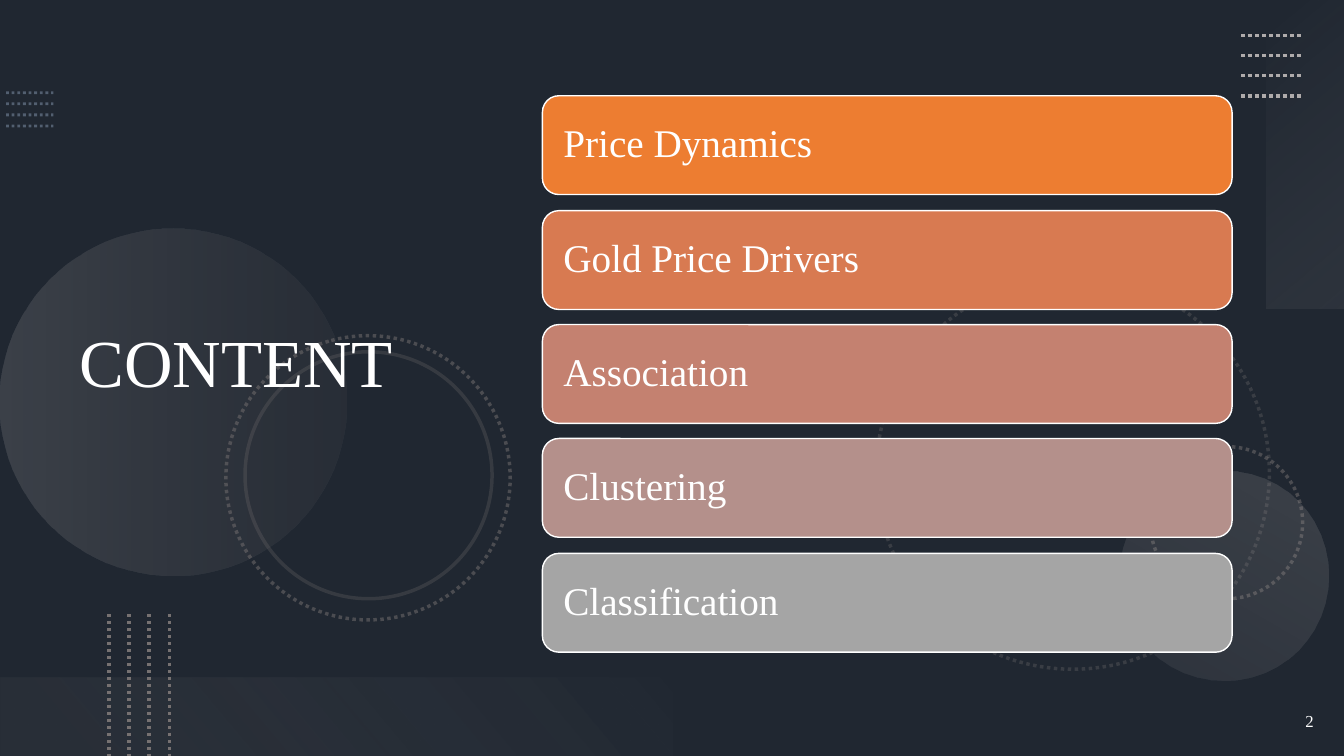
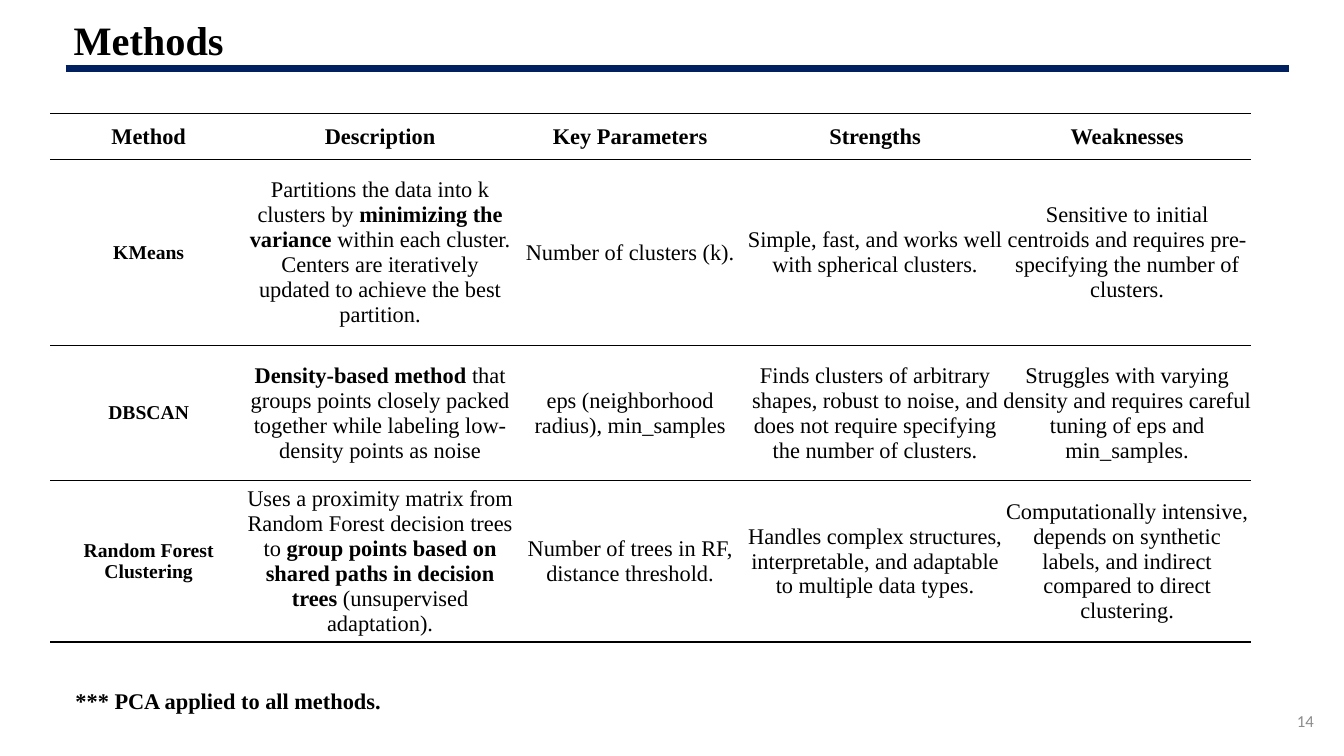
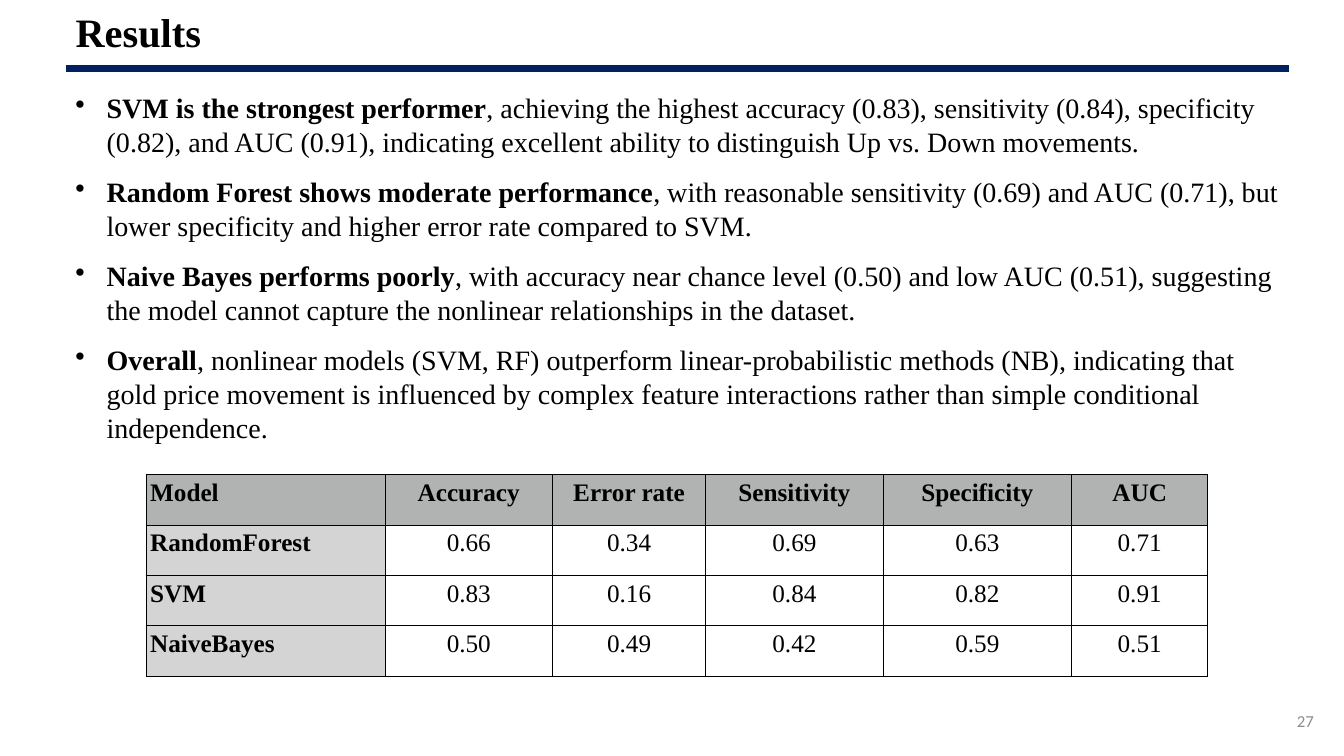
from lxml import etree
from pptx import Presentation
from pptx.dml.color import RGBColor
from pptx.enum.dml import MSO_LINE
from pptx.enum.shapes import MSO_CONNECTOR, MSO_SHAPE
from pptx.enum.text import MSO_ANCHOR, MSO_AUTO_SIZE, PP_ALIGN
from pptx.oxml.ns import qn
from pptx.util import Pt

PX = 9144
SLIDE_WIDTH, SLIDE_HEIGHT = 1333, 750
SERIF, SANS = "Times New Roman", "Calibri"
LEFT, CENTER, RIGHT = PP_ALIGN.LEFT, PP_ALIGN.CENTER, PP_ALIGN.RIGHT
TOP, MIDDLE = MSO_ANCHOR.TOP, MSO_ANCHOR.MIDDLE
RECTANGLE, ROUNDED, OVAL = MSO_SHAPE.RECTANGLE, MSO_SHAPE.ROUNDED_RECTANGLE, MSO_SHAPE.OVAL
STRAIGHT, DOTTED = MSO_CONNECTOR.STRAIGHT, MSO_LINE.ROUND_DOT
TITLE_ONLY = 5

COLORS = {
    "black": "000000",
    "white": "FFFFFF",
    "navy": "002060",
    "slate": "44546A",
    "steel": "8497B0",
    "gray": "767171",
    "silver": "AFABAB",
    "mist": "F5F5F5",
    "pale": "F1F0F0",
    "number": "8C8C8C",
    "table_head": "B0B3B2",
    "table_side": "D4D4D4",
    "card_1": "ED7D31",
    "card_2": "D87A51",
    "card_3": "C48170",
    "card_4": "B4908B",
    "card_5": "A5A5A5",
}

TOPICS = ["Price Dynamics", "Gold Price Drivers", "Association", "Clustering", "Classification"]

METHODS = [
    ["**Method**", "**Description**", "**Key Parameters**", "**Strengths**", "**Weaknesses**"],
    [
        "**KMeans**",
        "Partitions the data into k clusters by **minimizing the variance** within each cluster. \n"
        "Centers are iteratively updated to achieve the best partition.",
        "Number of clusters (k).",
        "Simple, fast, and works well with spherical clusters.",
        "Sensitive to initial centroids and requires pre-specifying the number of clusters.",
    ],
    [
        "**DBSCAN**",
        "**Density-based method **that groups points closely packed together while labeling "
        "low-density points as noise",
        "eps (neighborhood radius), min_samples",
        "Finds clusters of arbitrary shapes, robust to noise, and does not require specifying "
        "the number of clusters.",
        "Struggles with varying density and requires careful tuning of eps and min_samples.",
    ],
    [
        "**Random Forest Clustering**",
        "Uses a proximity matrix from Random Forest decision trees to **group points based on "
        "shared paths in decision trees **(unsupervised adaptation).",
        "Number of trees in RF, distance threshold.",
        "Handles complex structures, interpretable, and adaptable to multiple data types.",
        "Computationally intensive, depends on synthetic labels, and indirect compared to "
        "direct clustering.",
    ],
]

FINDINGS = [
    "**SVM is the strongest performer**, achieving the highest accuracy (0.83), sensitivity "
    "(0.84), specificity (0.82), and AUC (0.91), indicating excellent ability to distinguish "
    "Up vs. Down movements.",
    "**Random Forest shows moderate performance**, with reasonable sensitivity (0.69) and AUC "
    "(0.71), but lower specificity and higher error rate compared to SVM.",
    "**Naive Bayes performs poorly**, with accuracy near chance level (0.50) and low AUC "
    "(0.51), suggesting the model cannot capture the nonlinear relationships in the dataset.",
    "**Overall**, nonlinear models (SVM, RF) outperform linear-probabilistic methods (NB), "
    "indicating that gold price movement is influenced by complex feature interactions rather "
    "than simple conditional independence.",
]

SCORES = [
    ["**Model**", "**Accuracy**", "**Error rate**", "**Sensitivity**", "**Specificity**", "**AUC**"],
    ["**RandomForest**", "0.66", "0.34", "0.69", "0.63", "0.71"],
    ["**SVM**", "0.83", "0.16", "0.84", "0.82", "0.91"],
    ["**NaiveBayes**", "0.50", "0.49", "0.42", "0.59", "0.51"],
]


def rgb(name):
    """Return the named colour."""
    return RGBColor.from_string(COLORS[name])


def emu(box):
    """Turn px lengths into EMU."""
    return [value * PX for value in box]


def set_alphas(shape, alphas):
    """Set the opacity, in percent, of a shape's colours in order."""
    for color, alpha in zip(shape.element.spPr.iter(qn("a:srgbClr")), alphas):
        etree.SubElement(color, qn("a:alpha")).set("val", str(alpha * 1000))


def format_run(run, size, color="black", bold=False, font=SERIF):
    """Set the font of one run."""
    run.font.name = font
    run.font.size = Pt(size)
    run.font.bold = bold
    run.font.color.rgb = rgb(color)


def write_text(frame, text, size, color="black", bold=False, font=SERIF, align=LEFT):
    """Put one line of evenly formatted text into a frame."""
    frame.text = text
    paragraph = frame.paragraphs[0]
    paragraph.alignment = align
    format_run(paragraph.runs[0], size, color, bold, font)
    return paragraph


def write_marked(paragraph, text, size):
    """Write text whose parts between double asterisks are bold."""
    for index, part in enumerate(text.split("**")):
        if part:
            run = paragraph.add_run()
            run.text = part
            format_run(run, size, bold=index % 2 == 1)


def add_text_box(slide, box, anchor=TOP):
    """Add a wrapping text box and return its frame."""
    frame = slide.shapes.add_textbox(*emu(box)).text_frame
    frame.word_wrap = True
    frame.vertical_anchor = anchor
    return frame


def add_shape(slide, kind, box, rotation=0):
    """Add a preset shape without shadow, fill or line."""
    shape = slide.shapes.add_shape(kind, *emu(box))
    shape.shadow.inherit = False
    shape.fill.background()
    shape.line.fill.background()
    shape.rotation = rotation
    return shape


def add_line(slide, ends, color, width, dash=None):
    """Add a straight line without shadow."""
    line = slide.shapes.add_connector(STRAIGHT, *emu(ends))
    line.line.color.rgb = rgb(color)
    line.line.width = Pt(width)
    if dash:
        line.line.dash_style = dash
    etree.SubElement(line.element.spPr, qn("a:effectLst"))
    return line


def add_title(slide, text, box, size, color="black", bold=True, align=LEFT):
    """Place and format the title placeholder in front of what is drawn so far."""
    title = slide.shapes.title
    title.left, title.top, title.width, title.height = emu(box)
    frame = title.text_frame
    frame.word_wrap = True
    frame.auto_size = MSO_AUTO_SIZE.NONE
    frame.vertical_anchor = MIDDLE
    write_text(frame, text, size, color, bold, align=align).line_spacing = 0.9
    slide.shapes.element.append(title.element)


def add_page_number(slide, number, color="number", font=SANS):
    """Write the page number at the lower right."""
    frame = add_text_box(slide, (1013, 695, 300, 40), MIDDLE)
    write_text(frame, str(number), 12, color, font=font, align=RIGHT)


def add_content_frame(slide, title, title_box, number, align=LEFT):
    """Add the title, rule and page number of a white slide."""
    add_title(slide, title, title_box, 28.8, align=align)
    add_line(slide, (65, 68, 1278, 68), "navy", 4.5)
    add_page_number(slide, number)


def add_gradient(slide, kind, box, rotation, stops, angle):
    """Add a shape filled with a two-stop translucent gradient."""
    shape = add_shape(slide, kind, box, rotation)
    shape.fill.gradient()
    shape.fill.gradient_angle = 360 - angle
    for stop, (position, color, alpha) in zip(shape.fill.gradient_stops, stops):
        stop.position = position
        stop.color.rgb = rgb(color)
    set_alphas(shape, [alpha for position, color, alpha in stops])


def add_ring(slide, box, rotation, alpha, dash=None):
    """Add a translucent circle outline."""
    ring = add_shape(slide, OVAL, box, rotation)
    ring.line.color.rgb = rgb("gray")
    ring.line.width = Pt(2.5)
    if dash:
        ring.line.dash_style = dash
    set_alphas(ring, [alpha])


def add_dotted_lines(slide, box, color, width, alpha=100, vertical=False, count=4):
    """Spread parallel dotted lines evenly over a box."""
    left, top, box_width, box_height = box
    for index in range(count):
        share = index / (count - 1)
        if vertical:
            x = left + round(box_width * share)
            ends = (x, top, x, top + box_height)
        else:
            y = top + round(box_height * share)
            ends = (left, y, left + box_width, y)
        set_alphas(add_line(slide, ends, color, width, DOTTED), [alpha])


def add_backdrop(slide):
    """Draw the dark background and its ornaments."""
    slide.background.fill.solid()
    slide.background.fill.fore_color.rgb = rgb("slate")
    veil = add_shape(slide, RECTANGLE, (0, 0, SLIDE_WIDTH, SLIDE_HEIGHT))
    veil.fill.solid()
    veil.fill.fore_color.rgb = rgb("black")
    set_alphas(veil, [53])
    add_dotted_lines(slide, (6, 92, 47, 33), "steel", 2, alpha=50)
    add_ring(slide, (869, 274, 390, 390), 75, 30, DOTTED)
    add_ring(slide, (1141, 443, 151, 151), 270, 50, DOTTED)
    add_gradient(slide, OVAL, (0, 227, 344, 344), 270,
                 [(0, "silver", 20), (1, "gray", 10)], 90)
    add_gradient(slide, OVAL, (1110, 467, 208, 208), 210,
                 [(0, "silver", 10), (1, "silver", 20)], 90)
    add_ring(slide, (224, 333, 282, 282), 75, 50, DOTTED)
    add_ring(slide, (243, 349, 245, 245), 75, 25)
    add_gradient(slide, RECTANGLE, (1142, 114, 306, 78), 270,
                 [(0, "mist", 0), (1, "silver", 10)], 140)
    add_dotted_lines(slide, (1231, 35, 60, 60), "silver", 2.5)
    add_gradient(slide, RECTANGLE, (0, 672, 667, 78), 180,
                 [(0.1, "gray", 10), (1, "pale", 0)], 140)
    add_dotted_lines(slide, (108, 609, 60, 141), "gray", 2.5, vertical=True)


def add_topic_cards(slide, box, topics, card_height=98):
    """Stack one rounded card per topic evenly in a box."""
    left, top, width, height = box
    step = (height - card_height) / (len(topics) - 1)
    for index, topic in enumerate(topics):
        card = add_shape(slide, ROUNDED, (left, top + round(step * index), width, card_height))
        card.fill.solid()
        card.fill.fore_color.rgb = rgb(f"card_{index + 1}")
        card.line.color.rgb = rgb("white")
        card.line.width = Pt(1)
        frame = card.text_frame
        frame.word_wrap = True
        frame.margin_left = 16 * PX
        frame.vertical_anchor = MIDDLE
        write_text(frame, topic, 28, "white").line_spacing = 0.9


def set_borders(cell, sides, width):
    """Draw black borders on the given sides of a cell and clear the others."""
    properties = cell._tc.get_or_add_tcPr()
    for side in "LRTB":
        border = etree.SubElement(properties, qn(f"a:ln{side}"))
        if side in sides:
            border.set("w", str(Pt(width)))
            fill = etree.SubElement(border, qn("a:solidFill"))
            etree.SubElement(fill, qn("a:srgbClr")).set("val", COLORS["black"])
        else:
            etree.SubElement(border, qn("a:noFill"))


def add_grid(slide, corner, columns, rows, texts, sides, border, margin, anchor, style):
    """Add a table; style gives size, alignment and fill by row and column."""
    box = (*corner, sum(columns), sum(rows))
    table = slide.shapes.add_table(len(rows), len(columns), *emu(box)).table
    table.first_row = table.horz_banding = False
    for column, width in zip(table.columns, columns):
        column.width = width * PX
    for row_index, (row, height) in enumerate(zip(table.rows, rows)):
        row.height = height * PX
        for column_index, cell in enumerate(row.cells):
            size, align, fill = style(row_index, column_index)
            set_borders(cell, sides, border)
            cell.margin_left = cell.margin_right = margin * PX
            cell.margin_top = cell.margin_bottom = margin * PX
            cell.vertical_anchor = anchor
            if fill:
                cell.fill.solid()
                cell.fill.fore_color.rgb = rgb(fill)
            else:
                cell.fill.background()
            frame = cell.text_frame
            for index, text in enumerate(texts[row_index][column_index].split("\n")):
                paragraph = frame.add_paragraph() if index else frame.paragraphs[0]
                paragraph.alignment = align
                write_marked(paragraph, text, size)


def method_style(row, column):
    """Style the methods table, with smaller method names."""
    return 14 if row and not column else 16, CENTER, None


def score_style(row, column):
    """Style the scores table, with shaded headings."""
    fill = "table_side" if column == 0 else None
    return 18, CENTER if column else LEFT, fill if row else "table_head"


def add_bullets(slide, box, texts):
    """Add a bulleted list with bold lead-ins."""
    frame = add_text_box(slide, box)
    for index, text in enumerate(texts):
        paragraph = frame.add_paragraph() if index else frame.paragraphs[0]
        properties = paragraph._p.get_or_add_pPr()
        properties.set("marL", str(31 * PX))
        properties.set("indent", str(-31 * PX))
        etree.SubElement(properties, qn("a:buChar")).set("char", "•")
        paragraph.space_before = Pt(6 if index else 0)
        paragraph.space_after = Pt(6)
        write_marked(paragraph, text, 20)


def build_contents(slide):
    """Build the contents slide."""
    add_backdrop(slide)
    add_title(slide, "CONTENT", (69, 54, 459, 617), 48, "white", bold=False)
    add_topic_cards(slide, (538, 95, 684, 552), TOPICS)
    add_page_number(slide, 2, "white", SERIF)


def build_methods(slide):
    """Build the methods slide."""
    add_content_frame(slide, "Methods", (15, 17, 265, 51), 14, CENTER)
    add_grid(slide, (50, 113), [195, 264, 232, 254, 246], [45, 185, 134, 160],
             METHODS, "TB", 1, 0, MIDDLE, method_style)
    note = add_text_box(slide, (65, 677, 667, 37))
    write_text(note, "*** PCA applied to all methods.", 16, bold=True)


def build_results(slide):
    """Build the results slide."""
    add_content_frame(slide, "Results", (65, 8, 434, 53), 27)
    add_bullets(slide, (65, 85, 1213, 364), FINDINGS)
    add_grid(slide, (145, 471), [237, 166, 152, 176, 187, 135], [50] * 4,
             SCORES, "LRTB", 0.75, 4, TOP, score_style)


def main():
    """Build and save the presentation."""
    presentation = Presentation()
    presentation.slide_width, presentation.slide_height = emu((SLIDE_WIDTH, SLIDE_HEIGHT))
    layout = presentation.slide_layouts[TITLE_ONLY]
    for build in (build_contents, build_methods, build_results):
        build(presentation.slides.add_slide(layout))
    presentation.save("out.pptx")


if __name__ == "__main__":
    main()
